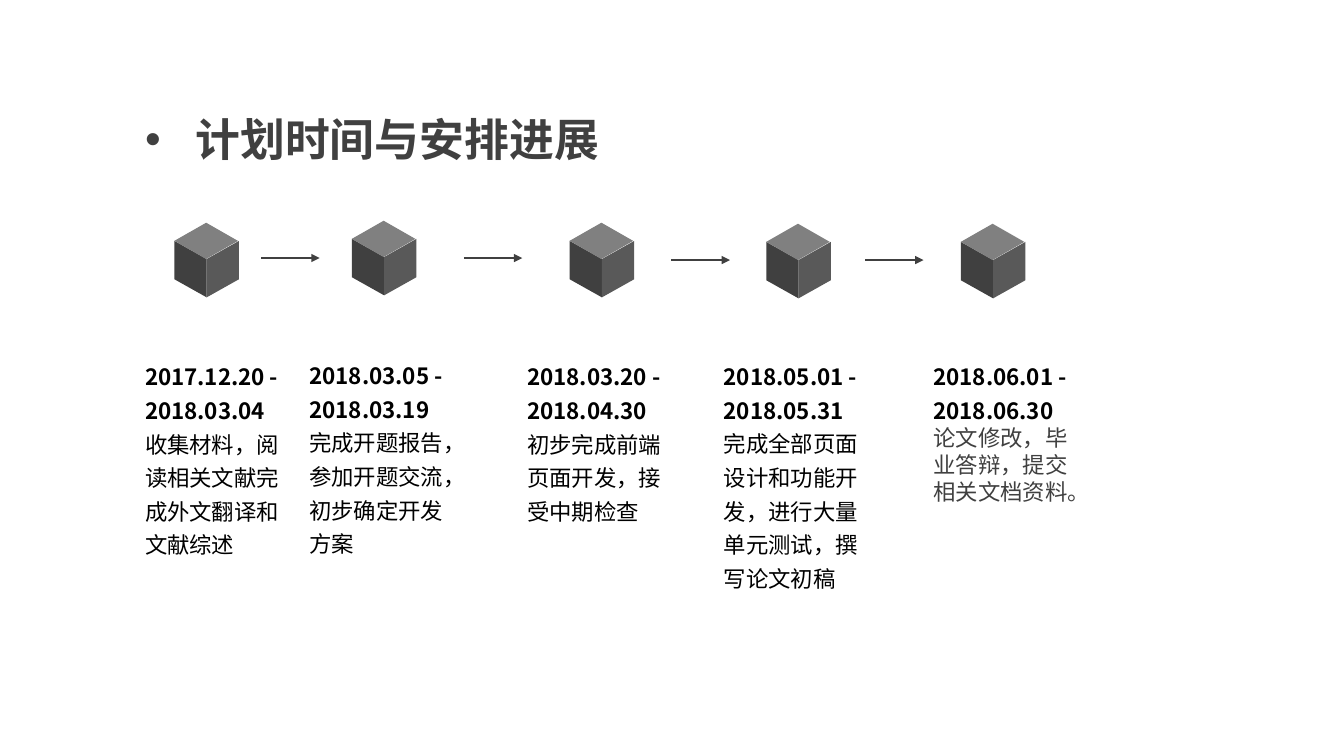
"""Build the project schedule slide: five dated stages joined by arrows."""
import dataclasses

import lxml.etree
import pptx
import pptx.dml.color
import pptx.enum.shapes
import pptx.enum.text
import pptx.oxml.ns
import pptx.util

Inches = pptx.util.Inches
SHAPE = pptx.enum.shapes.MSO_SHAPE
qn = pptx.oxml.ns.qn


@dataclasses.dataclass(frozen=True)
class Theme:
    font: str = "Noto Sans CJK SC"
    title_size: int = 32
    body_size: int = 16
    black: str = "000000"
    dark: str = "404040"
    mid: str = "595959"
    light: str = "808080"


THEME = Theme()
TITLE = "计划时间与安排进展"
BODY = {"color": THEME.black, "spacing": 1.25}
LAST_BODY = {"color": THEME.dark, "spacing": None}
STAGES = [
    ((1.73, 2.21), (1.34, 3.49, 2.12), "2017.12.20 - 2018.03.04",
     "收集材料，阅读相关文献完成外文翻译和文献综述", BODY),
    ((3.49, 2.19), (2.97, 3.48, 2.12), "2018.03.05 - 2018.03.19",
     "完成开题报告，参加开题交流，初步确定开发方案", BODY),
    ((5.65, 2.21), (5.13, 3.49, 1.78), "2018.03.20 - 2018.04.30",
     "初步完成前端页面开发，接受中期检查", BODY),
    ((7.6, 2.22), (7.08, 3.49, 2.46), "2018.05.01 - 2018.05.31",
     "完成全部页面设计和功能开发，进行大量单元测试，撰写论文初稿", BODY),
    ((9.53, 2.22), (9.16, 3.49, 1.58), "2018.06.01 - 2018.06.30",
     "论文修改，毕业答辩，提交相关文档资料。", LAST_BODY),
]
ARROWS = [(2.59, 2.56), (4.6, 2.56), (6.66, 2.58), (8.58, 2.58)]
ARROW_LENGTH = 0.58
FACE_SIZE = (0.56, 0.32)
CUBE_FACES = [
    (SHAPE.PARALLELOGRAM, (-0.12, 0.3), FACE_SIZE, THEME.dark, 270, False),
    (SHAPE.PARALLELOGRAM, (0.2, 0.3), FACE_SIZE, THEME.mid, 90, True),
    (SHAPE.DIAMOND, (0, 0), (0.63, 0.36), THEME.light, 0, False),
]


def rgb(value):
    """Return a colour from its hex value."""
    return pptx.dml.color.RGBColor.from_string(value)


def add_run(p, text, size, color, bold):
    """Add one formatted run to a paragraph."""
    r = p.add_run()
    r.text = text
    formats = {"name": THEME.font, "size": pptx.util.Pt(size), "bold": bold}
    for name, value in formats.items():
        setattr(r.font, name, value)
    r.font.color.rgb = rgb(color)
    ea = lxml.etree.SubElement(r.font._element, qn("a:ea"))
    ea.set("typeface", THEME.font)


def add_box(s, left, top, width, height, wrap):
    """Add a text box and return its text frame."""
    sp = s.shapes.add_textbox(*map(Inches, (left, top, width, height)))
    tf = sp.text_frame
    tf.word_wrap = wrap
    tf.auto_size = pptx.enum.text.MSO_AUTO_SIZE.SHAPE_TO_FIT_TEXT
    return tf


def add_title(s):
    """Add the bulleted heading."""
    p = add_box(s, 1.34, 1.06, 4.75, 0.64, False).paragraphs[0]
    p_pr = p._p.get_or_add_pPr()
    p_pr.set("marL", str(Inches(0.5)))
    p_pr.set("indent", str(Inches(-0.5)))
    lxml.etree.SubElement(p_pr, qn("a:buFont")).set("typeface", "Arial")
    lxml.etree.SubElement(p_pr, qn("a:buChar")).set("char", "•")
    add_run(p, TITLE, THEME.title_size, THEME.dark, True)


def add_cube(s, left, top):
    """Add a grouped cube whose top face starts at the given corner."""
    group = s.shapes.add_group_shape()
    for kind, (dx, dy), size, color, rotation, flip in CUBE_FACES:
        sp = group.shapes.add_shape(
            kind, *map(Inches, (left + dx, top + dy, *size)))
        sp.shadow.inherit = False
        sp.fill.solid()
        sp.fill.fore_color.rgb = rgb(color)
        sp.line.fill.background()
        sp.rotation = rotation
        if kind == SHAPE.PARALLELOGRAM:
            sp.adjustments[0] = 0.562
        if flip:
            sp._element.spPr.get_or_add_xfrm().set("flipH", "1")


def add_arrow(s, left, y):
    """Add a horizontal arrow to the next stage."""
    line = s.shapes.add_connector(
        pptx.enum.shapes.MSO_CONNECTOR.STRAIGHT,
        *map(Inches, (left, y, left + ARROW_LENGTH, y)))
    line.line.width = pptx.util.Pt(1)
    line.line.color.rgb = rgb(THEME.dark)
    ln = line.line._get_or_add_ln()
    lxml.etree.SubElement(ln, qn("a:tailEnd")).set("type", "triangle")
    lxml.etree.SubElement(line._element.spPr, qn("a:effectLst"))


def add_stage_text(s, place, dates, task, body):
    """Add the dates and the task of one stage."""
    left, top, height = place
    tf = add_box(s, left, top, 1.67, height, True)
    p = tf.paragraphs[0]
    p.line_spacing = 1.25
    add_run(p, dates, THEME.body_size, THEME.black, True)
    p = tf.add_paragraph()
    p.line_spacing = body["spacing"]
    add_run(p, task, THEME.body_size, body["color"], False)


def main():
    """Build and save the slide."""
    prs = pptx.Presentation()
    prs.slide_width, prs.slide_height = Inches(13.33), Inches(7.5)
    s = prs.slides.add_slide(prs.slide_layouts[6])
    add_title(s)
    for cube, place, dates, task, body in STAGES:
        add_cube(s, *cube)
        add_stage_text(s, place, dates, task, body)
    for arrow in ARROWS:
        add_arrow(s, *arrow)
    prs.save("out.pptx")


if __name__ == "__main__":
    main()
